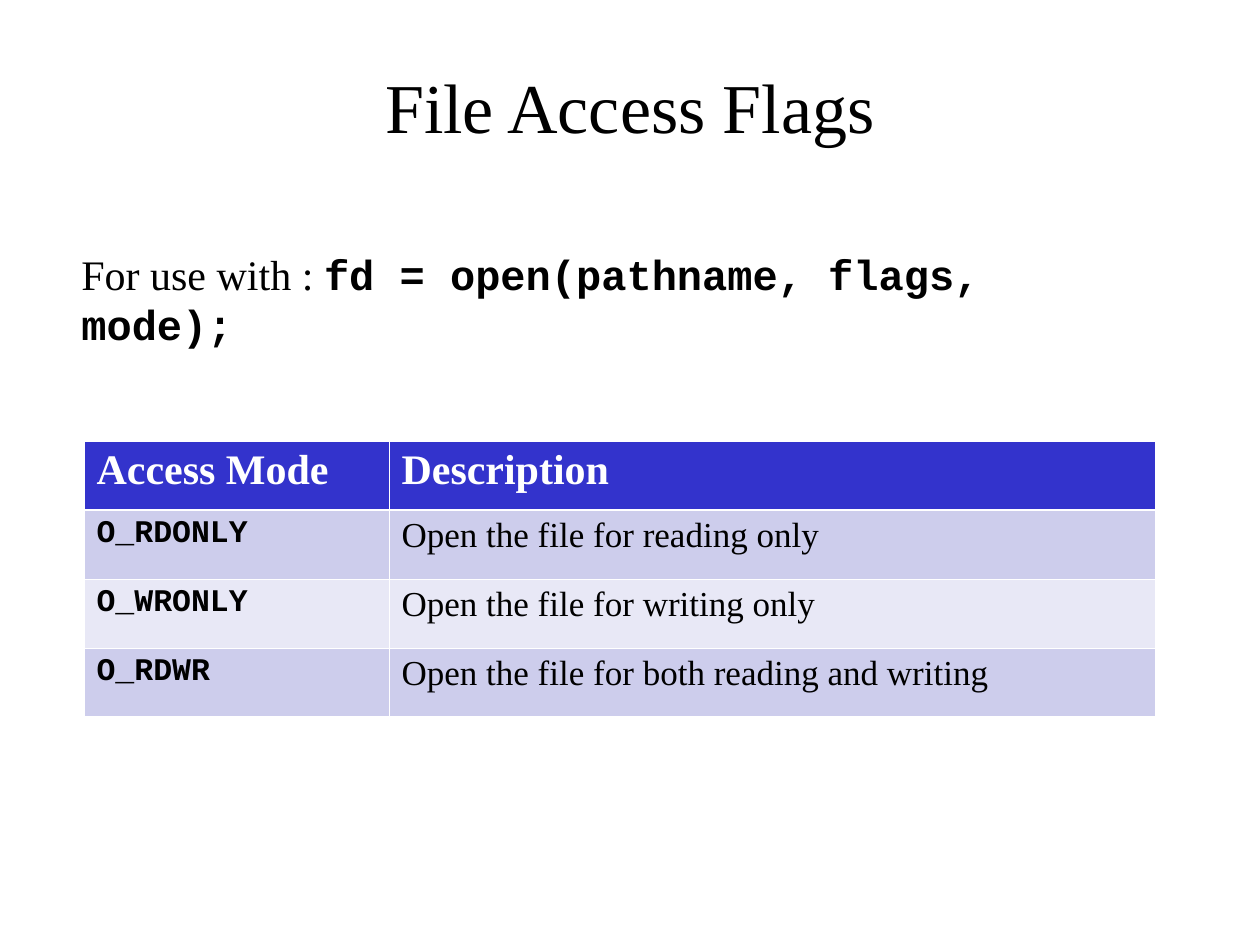
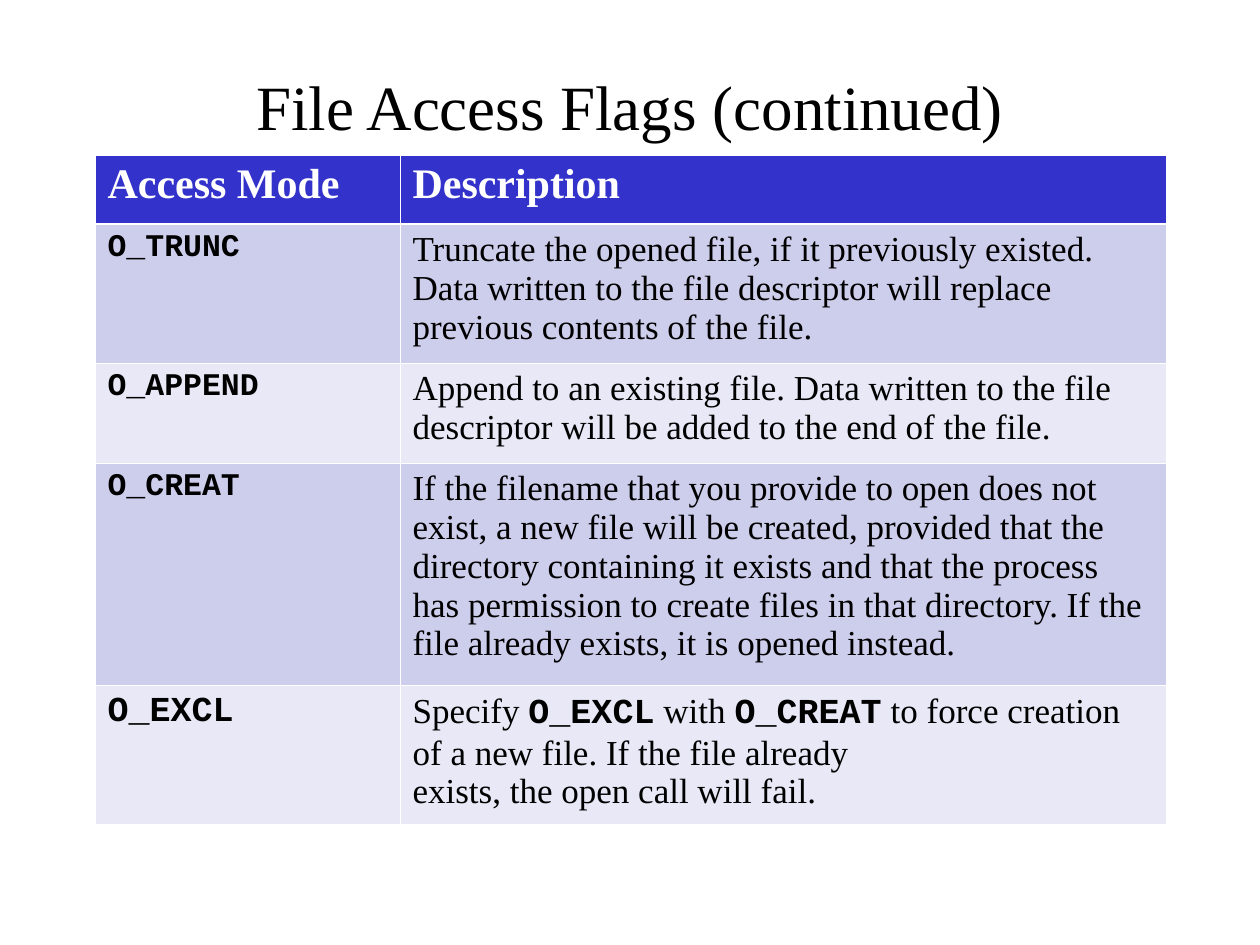
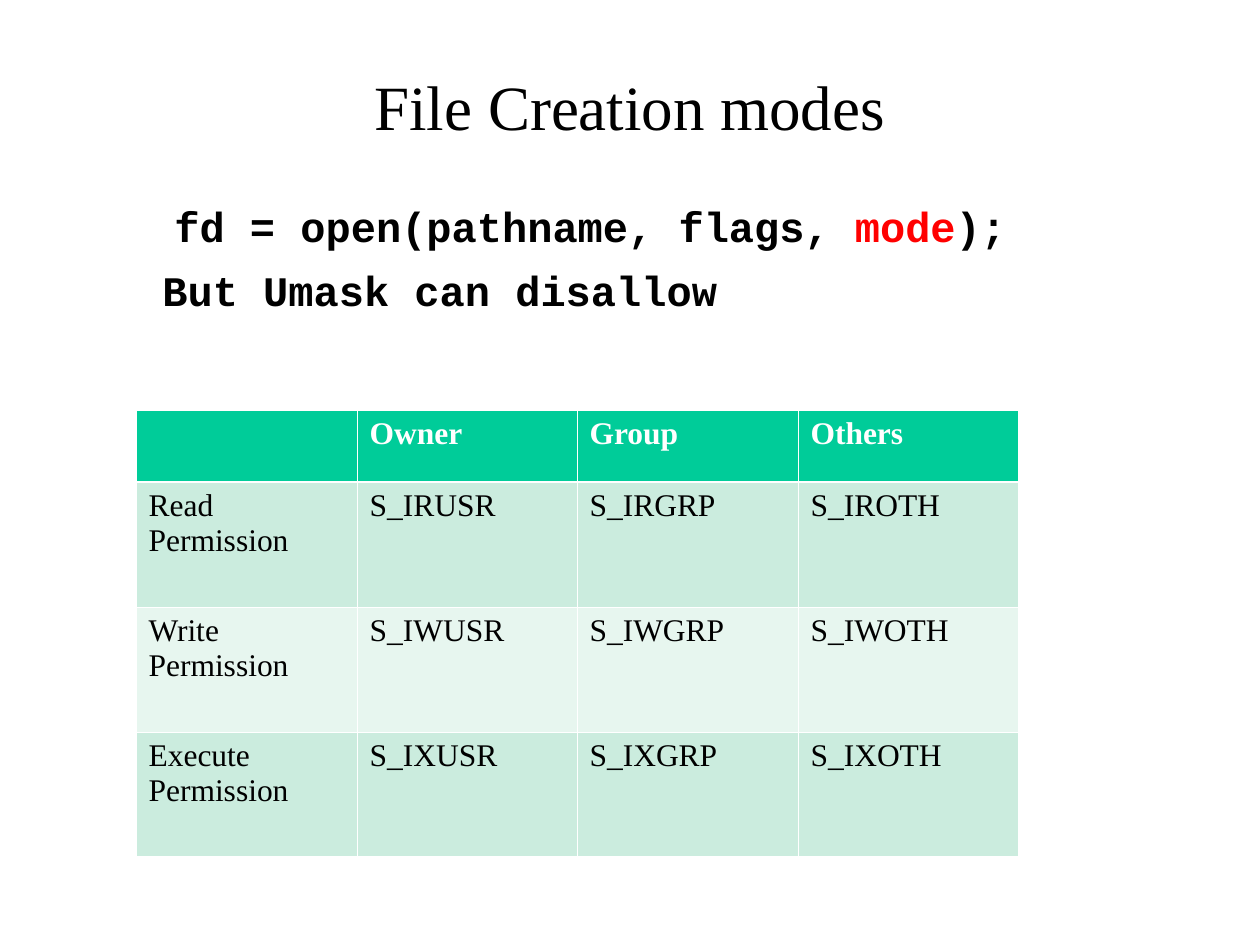
import pptx
import pptx.dml.color
import pptx.enum.text
import pptx.oxml
import pptx.oxml.ns
import pptx.util

PIXEL = 914400 / 126
SERIF = "Times New Roman"
MONO = "Courier New"
BLACK = "000000"
WHITE = "FFFFFF"
RED = "FF0000"
BLUE_FILLS = ("3333CC", "CDCDEC", "E8E8F6")
GREEN_FILLS = ("00CC99", "CBECDE", "E7F6EF")
THIN, THICK = 0.45, 1.47
HEADINGS = ["Access Mode", "Description"]
FLAG_COLUMNS = [305, 766]
CODE = {"font": MONO, "bold": True}


def px(length):
    """Turn pixels into EMU."""
    return pptx.util.Emu(round(length * PIXEL))


def rgb(color):
    """Turn a hex string into a colour."""
    return pptx.dml.color.RGBColor.from_string(color)


def add_span(para, text, size=20, font=SERIF, color=BLACK, bold=False):
    """Add one formatted run of text to a paragraph."""
    span = para.add_run()
    span.text = text
    span.font.size = pptx.util.Pt(size)
    span.font.name = font
    span.font.bold = bold
    span.font.color.rgb = rgb(color)


def write(frame, paragraphs, **base):
    """Fill a text frame with paragraphs, each a string or a list of (text, format) spans."""
    for index, spans in enumerate(paragraphs):
        para = frame.add_paragraph() if index else frame.paragraphs[0]
        for text, style in [(spans, {})] if isinstance(spans, str) else spans:
            add_span(para, text, **{**base, **style})


def add_text(page, left, top, width, height, paragraphs, wrap=True, **base):
    """Add a text box and return its frame."""
    box = page.shapes.add_textbox(px(left), px(top), px(width), px(height))
    frame = box.text_frame
    frame.word_wrap = wrap
    write(frame, paragraphs, **base)
    return frame


def add_page(deck, title, size=36):
    """Add a blank slide with a centred title."""
    page = deck.slides.add_slide(deck.slide_layouts[6])
    frame = add_text(page, 95, 53, 1070, 105, [title], size=size)
    frame.vertical_anchor = pptx.enum.text.MSO_ANCHOR.MIDDLE
    frame.paragraphs[0].alignment = pptx.enum.text.PP_ALIGN.CENTER
    return page


def set_border(cell, side, points):
    """Give one side of a cell a white line."""
    line = pptx.oxml.parse_xml(
        f'<a:{side} {pptx.oxml.ns.nsdecls("a")} w="{pptx.util.Pt(points)}">'
        f'<a:solidFill><a:srgbClr val="{WHITE}"/></a:solidFill></a:{side}>'
    )
    cell._tc.get_or_add_tcPr().append(line)


def add_grid(page, left, top, columns, heights, rows, fills, head_size, styles):
    """Add a table with a header, striped rows and one text style per column."""
    frame = page.shapes.add_table(
        len(rows), len(columns), px(left), px(top), px(sum(columns)), px(sum(heights))
    )
    table = frame.table
    header, odd, even = fills
    for column, width in zip(table.columns, columns):
        column.width = px(width)
    for row_index, (row, height) in enumerate(zip(rows, heights)):
        table.rows[row_index].height = px(height)
        for column_index, content in enumerate(row):
            cell = table.cell(row_index, column_index)
            set_border(cell, "lnL", THIN)
            set_border(cell, "lnR", THIN)
            set_border(cell, "lnT", THICK if row_index == 1 else THIN)
            set_border(cell, "lnB", THICK if row_index == 0 else THIN)
            cell.fill.solid()
            if row_index == 0:
                cell.fill.fore_color.rgb = rgb(header)
                style = {"size": head_size, "color": WHITE, "bold": True}
            else:
                cell.fill.fore_color.rgb = rgb(odd if row_index % 2 else even)
                style = styles[column_index]
            if content:
                paragraphs = [content] if isinstance(content, str) else content
                write(cell.text_frame, paragraphs, **style)


def add_flag_table(page, left, top, heights, rows):
    """Add a table of access flags and their descriptions."""
    styles = [{"size": 18, **CODE}, {}]
    add_grid(page, left, top, FLAG_COLUMNS, heights, [HEADINGS] + rows, BLUE_FILLS, 24, styles)


def add_access_page(deck):
    """Add the slide on the basic access modes."""
    page = add_page(deck, "File Access Flags", size=40)
    add_flag_table(page, 84, 441, [69] * 4, [
        ["O_RDONLY", "Open the file for reading only"],
        ["O_WRONLY", "Open the file for writing only"],
        ["O_RDWR", "Open the file for both reading and writing"],
    ])
    call = [("For use with : ", {}), ("fd = open(pathname, flags, mode);", CODE)]
    add_text(page, 69, 242, 1099, 113, [call], wrap=False, size=24)


def add_continued_page(deck):
    """Add the slide on the further access flags."""
    page = add_page(deck, "File Access Flags (continued)")
    exclusive = [
        ("Specify ", {}), ("O_EXCL", CODE), (" with ", {}), ("O_CREAT", CODE),
        (" to force creation of a new file. If the file already", {}),
    ]
    add_flag_table(page, 95, 155, [69, 139, 100, 222, 139], [
        ["O_TRUNC", "Truncate the opened file, if it previously existed. Data written to "
         "the file descriptor will replace previous contents of the file."],
        ["O_APPEND", "Append to an existing file. Data written to the file descriptor "
         "will be added to the end of the file."],
        ["O_CREAT", [
            "If the filename that you provide to open does not exist, a new file will be "
            "created, provided that the directory containing it exists and that the process "
            "has permission to create files in that directory. If the",
            "file already exists, it is opened instead.",
        ]],
        [[[("O_EXCL", {"size": 20})]], [exclusive, "exists, the open call will fail."]],
    ])


def add_modes_page(deck):
    """Add the slide on creation modes and permissions."""
    page = add_page(deck, "File Creation modes")
    call = [("fd = open(pathname, flags, ", {}), ("mode", {"color": RED}), (");", {})]
    frame = add_text(page, 95, 194, 1070, 646, [call, "But Umask can disallow"], size=24, **CODE)
    for para, indent in zip(frame.paragraphs, (67, 55)):
        para._p.get_or_add_pPr().set("marL", str(px(indent)))
    frame.paragraphs[1].space_before = pptx.util.Pt(8)
    groups = ["USR", "GRP", "OTH"]
    labels = {"R": "Read Permission", "W": "Write Permission", "X": ["Execute", "Permission"]}
    rows = [["", "Owner", "Group", "Others"]]
    for letter, label in labels.items():
        rows.append([label] + [f"S_I{letter}{group}" for group in groups])
    heights = [72] + [125] * 3
    add_grid(page, 136, 410, [221, 220] * 2, heights, rows, GREEN_FILLS, 18, [{"size": 18}] * 4)


def main():
    """Build the deck and save it."""
    deck = pptx.Presentation()
    deck.slide_width = px(1260)
    deck.slide_height = px(945)
    add_access_page(deck)
    add_continued_page(deck)
    add_modes_page(deck)
    deck.save("out.pptx")


if __name__ == "__main__":
    main()
